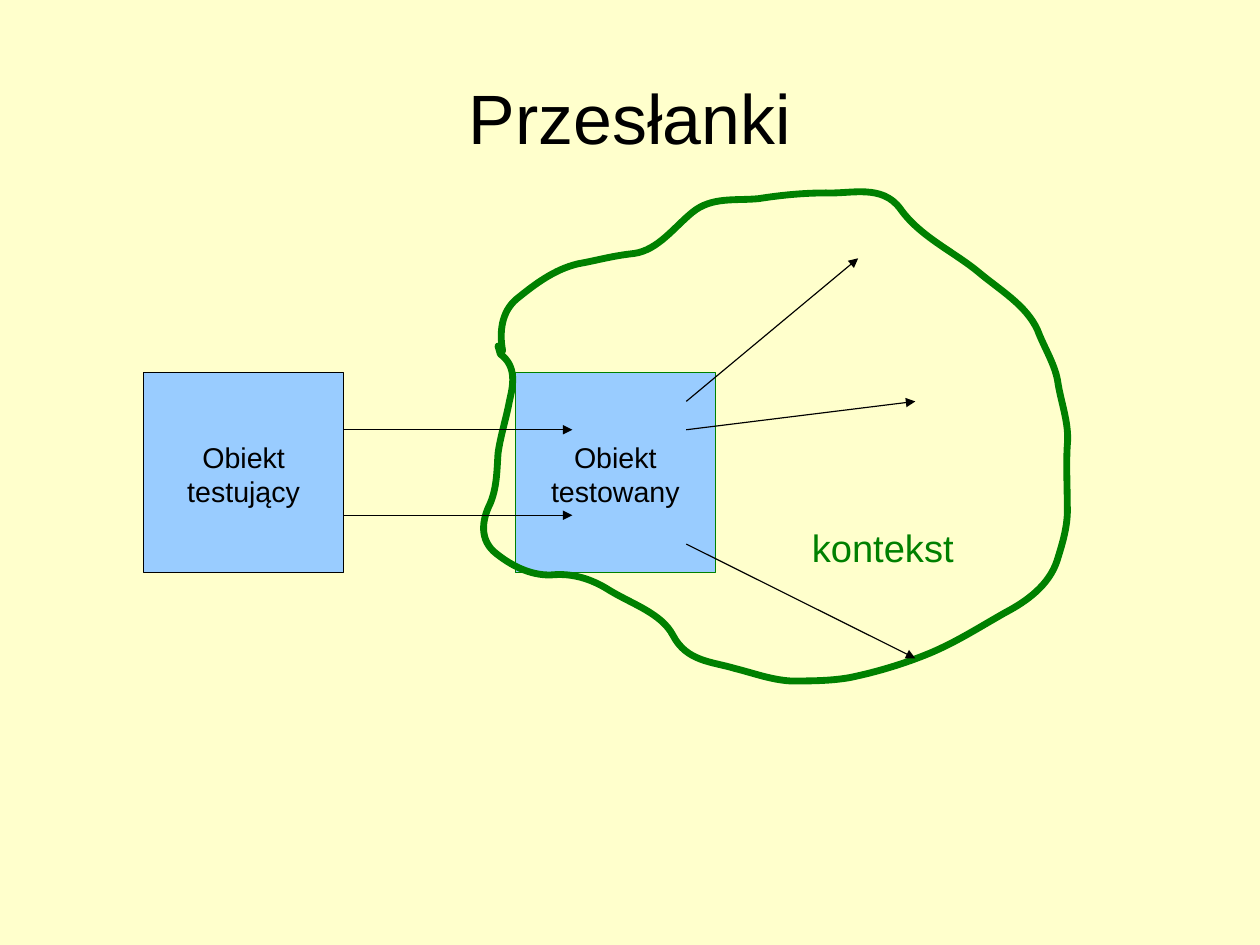
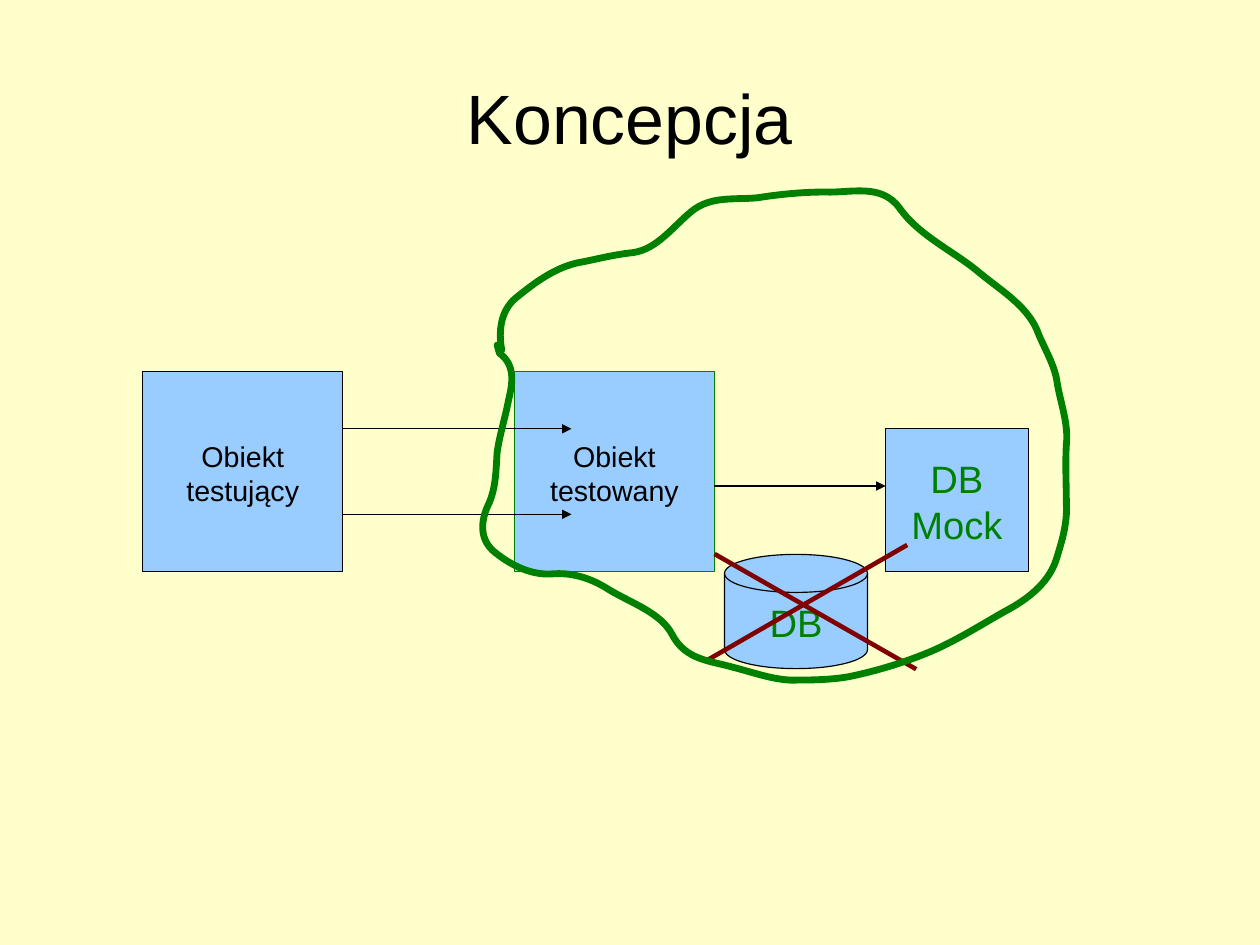
from lxml.etree import SubElement
from pptx import Presentation
from pptx.dml.color import RGBColor
from pptx.enum.shapes import MSO_CONNECTOR as Connector, MSO_SHAPE as Shape
from pptx.enum.text import MSO_ANCHOR as Anchor, PP_ALIGN as Align
from pptx.oxml.ns import qn
from pptx.util import Cm, Pt

COLORS = {
    "background": "FFFFCC",
    "ink": "000000",
    "box": "99CCFF",
    "context": "008000",
    "cross": "800000",
}
FONT = "Arial"
THIN = 0.75
BOX_SIZE = 4.45
MARGINS = (0.25, 0.18, 0.25, 0.13)

# Context outline in hundredths of an inch: start, then cubic curves
# (two control points and an end point each), then straight ends
OUTLINE_UNIT = Cm(2.54) / 100
OUTLINE_START = (439, 306)
OUTLINE_CURVES = [
    (436, 290), (438, 272), (451, 261), (467, 248), (484, 235), (505, 230),
    (522, 227), (535, 223), (554, 221), (575, 218), (589, 198), (605, 185),
    (622, 171), (643, 175), (663, 173), (682, 170), (702, 168), (722, 168),
    (744, 169), (771, 160), (787, 182), (804, 206), (833, 219), (855, 237),
    (874, 253), (897, 266), (907, 288), (913, 304), (923, 319), (925, 335),
    (928, 353), (935, 371), (933, 389), (932, 406), (933, 424), (933, 441),
    (934, 458), (929, 474), (924, 490), (917, 511), (898, 525), (879, 535),
    (856, 548), (836, 561), (812, 571), (790, 580), (767, 587), (743, 592),
    (726, 595), (708, 595), (691, 595), (674, 594), (658, 588), (642, 584),
    (622, 578), (600, 578), (588, 555), (578, 536), (553, 528), (533, 516),
    (519, 507), (503, 501), (485, 502), (466, 504), (448, 495), (434, 484),
    (418, 472), (421, 454), (428, 440), (434, 426), (434, 411), (435, 396),
    (437, 381), (442, 366), (445, 350), (448, 337), (452, 320), (437, 309),
]
OUTLINE_ENDS = [(435, 302), OUTLINE_START]


def rgb(name):
    return RGBColor.from_string(COLORS[name])


def set_line(line, color, width):
    line.color.rgb = rgb(color)
    line.width = Pt(width)


def write(frame, lines, size, color="ink", align=Align.CENTER,
          anchor=Anchor.MIDDLE, margins=MARGINS, wrap=True):
    frame.word_wrap = wrap
    frame.vertical_anchor = anchor
    (frame.margin_left, frame.margin_top,
     frame.margin_right, frame.margin_bottom) = map(Cm, margins)
    for index, text in enumerate(lines):
        paragraph = frame.add_paragraph() if index else frame.paragraphs[0]
        paragraph.alignment = align
        run = paragraph.add_run()
        run.text = text
        run.font.name = FONT
        run.font.size = Pt(size)
        run.font.color.rgb = rgb(color)


def add_title(slide, text):
    title = slide.shapes.add_textbox(Cm(1.4), Cm(0.84), Cm(25.2), Cm(3.5))
    write(title.text_frame, [text], 44, margins=(0, 0, 0, 0))


def add_node(slide, lines, x, y, width, height, border="ink", size=18,
             color="ink", kind=Shape.ROUNDED_RECTANGLE, wrap=True):
    node = slide.shapes.add_shape(kind, Cm(x), Cm(y), Cm(width), Cm(height))
    if kind == Shape.ROUNDED_RECTANGLE:
        node.adjustments[0] = 0
    node.shadow.inherit = False
    node.fill.solid()
    node.fill.fore_color.rgb = rgb("box")
    set_line(node.line, border, THIN)
    write(node.text_frame, lines, size, color, wrap=wrap)


def add_line(slide, x1, y1, x2, y2, color="ink", width=THIN, arrow=True):
    line = slide.shapes.add_connector(
        Connector.STRAIGHT, Cm(x1), Cm(y1), Cm(x2), Cm(y2))
    set_line(line.line, color, width)
    if arrow:
        SubElement(line.line._get_or_add_ln(), qn("a:tailEnd"), type="triangle")
    SubElement(line._element.spPr, qn("a:effectLst"))


def bend(freeform, curve_count):
    """Turn each leading group of three straight segments into one curve."""
    segments = list(freeform._element.iter(qn("a:lnTo")))
    for first in range(0, 3 * curve_count, 3):
        group = segments[first:first + 3]
        curve = group[0].makeelement(qn("a:cubicBezTo"))
        group[0].addprevious(curve)
        for segment in group:
            curve.append(segment[0])
            segment.getparent().remove(segment)


def add_context(slide, shift):
    builder = slide.shapes.build_freeform(*OUTLINE_START, scale=OUTLINE_UNIT)
    builder.add_line_segments(OUTLINE_CURVES + OUTLINE_ENDS, close=False)
    context = builder.convert_to_shape(Cm(shift), Cm(shift))
    bend(context, len(OUTLINE_CURVES) // 3)
    context.shadow.inherit = False
    context.fill.background()
    set_line(context.line, "context", 4.31)


def add_tester_and_subject(slide, shift):
    top = 8.26 + shift
    add_node(slide, ["Obiekt", "testujący"], 3.17 + shift, top,
             BOX_SIZE, BOX_SIZE)
    add_node(slide, ["Obiekt", "testowany"], 11.43 + shift, top,
             BOX_SIZE, BOX_SIZE, border="context")


def add_calls(slide, shift):
    for y in (9.53, 11.43):
        add_line(slide, 7.62 + shift, y + shift, 12.7 + shift, y + shift)


def add_premises(slide):
    shift = 0.02
    add_title(slide, "Przesłanki")
    add_tester_and_subject(slide, shift)
    add_context(slide, shift)
    add_calls(slide, shift)
    # Calls from the tested object into its context
    for y1, x2, y2 in ((8.92, 19.07, 5.74), (9.55, 20.34, 8.92),
                       (12.09, 20.34, 14.63)):
        add_line(slide, 15.25, y1, x2, y2)
    label = slide.shapes.add_textbox(Cm(17.79), Cm(11.47), Cm(3.66), Cm(1.19))
    write(label.text_frame, ["kontekst"], 24, "context", Align.LEFT,
          Anchor.TOP, wrap=False)


def add_concept(slide):
    add_title(slide, "Koncepcja")
    add_tester_and_subject(slide, 0)
    add_calls(slide, 0)
    # Database and its mock
    add_node(slide, ["DB"], 16.1, 12.32, 3.18, 2.54, size=24, color="context",
             kind=Shape.FLOWCHART_MAGNETIC_DISK, wrap=False)
    add_line(slide, 15.87, 10.8, 19.68, 10.8)
    add_node(slide, ["DB", "Mock"], 19.68, 9.53, 3.17, 3.17, size=24,
             color="context")
    # Cross over the database
    for ends in ((15.7, 14.68, 20.16, 12.11), (15.88, 12.31, 20.36, 14.87)):
        add_line(slide, *ends, color="cross", width=2.89, arrow=False)
    add_context(slide, 0)


def main():
    prs = Presentation()
    prs.slide_width, prs.slide_height = Cm(28), Cm(21)
    background = prs.slide_master.background.fill
    background.solid()
    background.fore_color.rgb = rgb("background")
    blank = prs.slide_layouts[6]
    for add_content in (add_premises, add_concept):
        add_content(prs.slides.add_slide(blank))
    prs.save("out.pptx")


if __name__ == "__main__":
    main()
